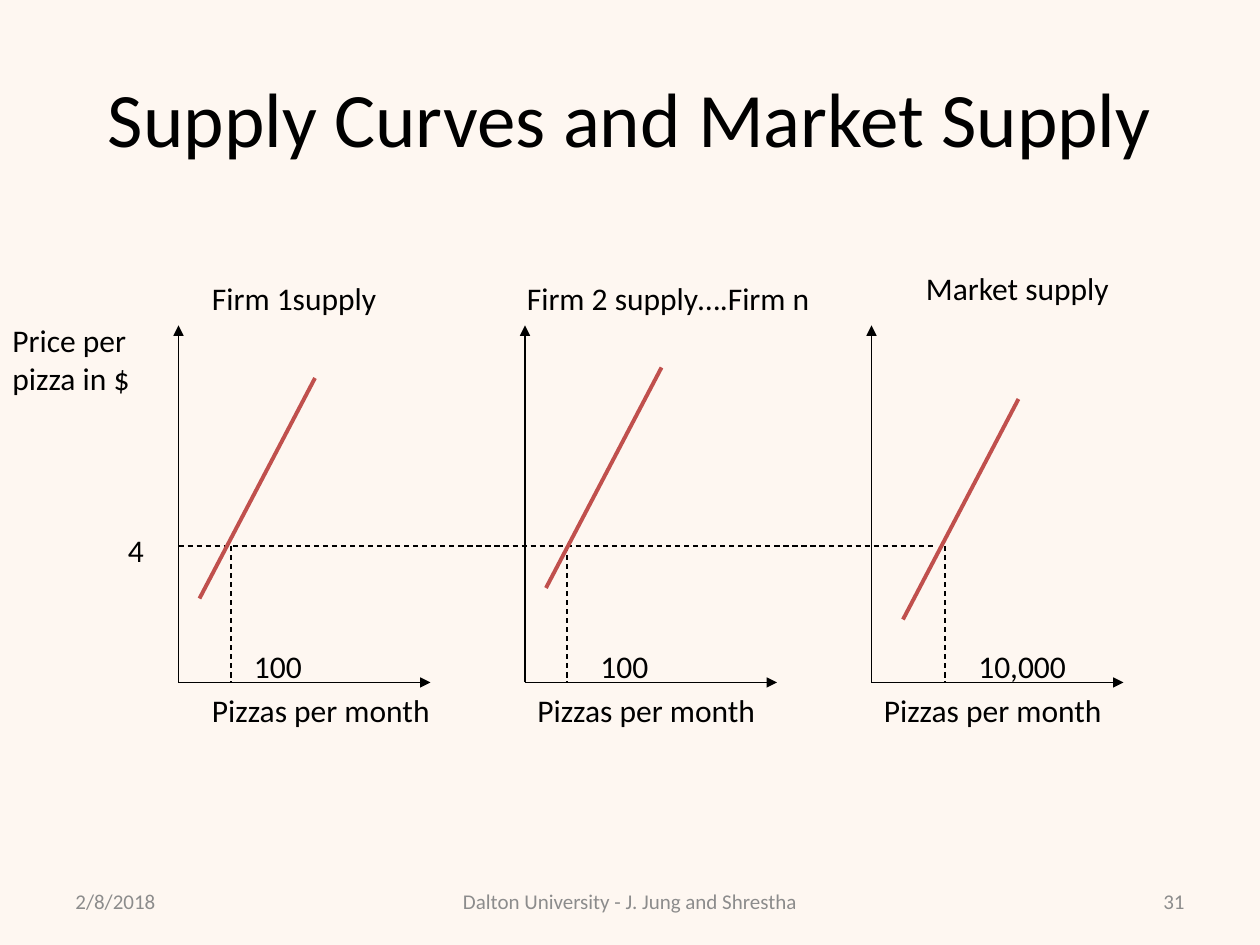
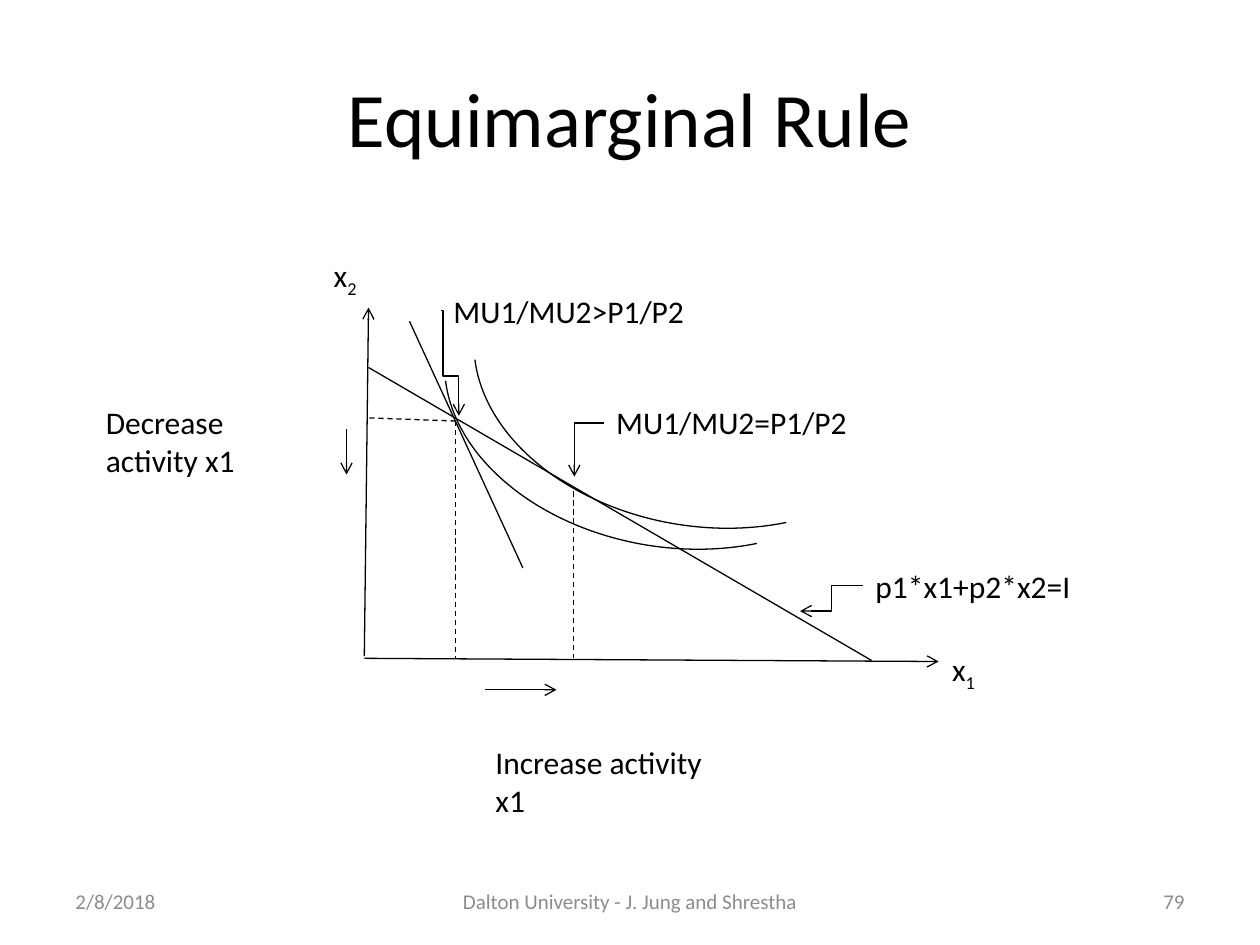
from dataclasses import dataclass
from typing import NamedTuple

from pptx import Presentation
from pptx.dml.color import RGBColor
from pptx.enum.dml import MSO_LINE
from pptx.enum.shapes import MSO_CONNECTOR, MSO_SHAPE
from pptx.enum.text import MSO_ANCHOR as Anchor, PP_ALIGN as Align
from pptx.oxml.ns import qn
from pptx.oxml.xmlchemy import OxmlElement
from pptx.slide import Slide
from pptx.util import Emu, Pt

EMU_PER_PX = 7620  # 120 px to the inch


@dataclass(frozen=True)
class Theme:
    font: str = "Calibri"
    ink: str = "000000"
    muted: str = "8C8C8C"
    curve: str = "C0504D"
    cream: str = "FEF7F1"
    white: str = "FFFFFF"
    title_size: int = 44
    body_size: int = 18
    footer_size: int = 12
    thin: float = 0.75
    thick: float = 2.25


THEME = Theme()


class Point(NamedTuple):
    x: int
    y: int


class Box(NamedTuple):
    left: int
    top: int
    width: int
    height: int = 48


class Label(NamedTuple):
    text: str
    box: Box
    subscript: str = ""


class Segment(NamedTuple):
    start: Point
    end: Point
    head: str = ""
    dashed: bool = False


class Elbow(NamedTuple):
    start: Point
    end: Point
    preset: str
    bends: tuple[int, ...] = ()


@dataclass(frozen=True)
class SupplyPanel:
    origin_x: int
    heading: Label
    curve_start: Point
    quantity_x: int
    quantity: Label
    axis_label: Box


def px(length: int) -> Emu:
    return Emu(length * EMU_PER_PX)


def add_text(page: Slide, text: str, box: Box, *, subscript: str = "",
             size: int = THEME.body_size, color: str = THEME.ink,
             align: Align = Align.LEFT, anchor: Anchor = Anchor.TOP) -> None:
    frame = page.shapes.add_textbox(*map(px, box)).text_frame
    frame.word_wrap = True
    frame.vertical_anchor = anchor
    para = frame.paragraphs[0]
    para.alignment = align
    for part in filter(None, (text, subscript)):
        span = para.add_run()
        span.text = part
        span.font.name = THEME.font
        span.font.size = Pt(size)
        span.font.color.rgb = RGBColor.from_string(color)
    if subscript:
        span._r.get_or_add_rPr().set("baseline", "-25000")


def add_line(page: Slide, start: Point, end: Point, *, head: str = "",
             dashed: bool = False, color: str = THEME.ink,
             width: float = THEME.thin, kind: MSO_CONNECTOR = MSO_CONNECTOR.STRAIGHT):
    connector = page.shapes.add_connector(kind, *map(px, start + end))
    line = connector.line
    line.color.rgb = RGBColor.from_string(color)
    line.width = Pt(width)
    if dashed:
        line.dash_style = MSO_LINE.DASH
    if head:
        tail = OxmlElement("a:tailEnd")
        tail.set("type", head)
        line._get_or_add_ln().append(tail)
    connector._element.spPr.append(OxmlElement("a:effectLst"))
    return connector


def add_elbow(page: Slide, elbow: Elbow) -> None:
    """Draw a bent arrow; bends are in thousandths of its width or height."""
    connector = add_line(page, elbow.start, elbow.end, head="arrow",
                         kind=MSO_CONNECTOR.ELBOW)
    geometry = connector._element.spPr.find(qn("a:prstGeom"))
    geometry.set("prst", elbow.preset)
    guides = geometry.get_or_add_avLst()
    for number, bend in enumerate(elbow.bends, 1):
        guide = OxmlElement("a:gd")
        guide.set("name", f"adj{number}")
        guide.set("fmla", f"val {bend * 100}")
        guides.append(guide)


def add_indifference_curve(page: Slide, box: Box) -> None:
    arc = page.shapes.add_shape(MSO_SHAPE.ARC, *map(px, box))
    arc.adjustments[0], arc.adjustments[1] = 139.61, 210.92
    arc.rotation = 189.4
    arc.shadow.inherit = False
    arc.fill.background()
    arc.line.color.rgb = RGBColor.from_string(THEME.ink)
    arc.line.width = Pt(THEME.thin)


def add_page(deck, title: str, number: int, background: str) -> Slide:
    """Add a blank page with its background, title and footer."""
    page = deck.slides.add_slide(deck.slide_layouts[6])
    fill = page.background.fill
    fill.solid()
    fill.fore_color.rgb = RGBColor.from_string(background)
    add_text(page, title, Box(60, 36, 1080, 150), size=THEME.title_size,
             align=Align.CENTER, anchor=Anchor.MIDDLE)
    footers = (
        ("2/8/2018", Box(60, 834, 280), Align.LEFT),
        ("Dalton University - J. Jung and Shrestha", Box(410, 834, 380), Align.CENTER),
        (str(number), Box(860, 834, 280), Align.RIGHT),
    )
    for text, box, align in footers:
        add_text(page, text, box, size=THEME.footer_size, color=THEME.muted,
                 align=align, anchor=Anchor.MIDDLE)
    return page


PRICE_Y, BASE_Y, AXIS_TOP = 520, 650, 310
AXIS_LENGTH, CURVE_RUN, CURVE_RISE = 240, 110, 210

SUPPLY_PANELS = (
    SupplyPanel(170, Label("Firm 1supply", Box(190, 260, 260)), Point(190, 570),
                220, Label("100", Box(230, 610, 90)), Box(190, 652, 330)),
    SupplyPanel(500, Label("Firm 2 supply….Firm n", Box(490, 260, 410)), Point(520, 560),
                540, Label("100", Box(560, 610, 80)), Box(500, 652, 310)),
    SupplyPanel(830, Label("Market supply", Box(870, 250, 240)), Point(860, 590),
                900, Label("10,000", Box(920, 610, 120)), Box(830, 652, 310)),
)


def add_supply_panel(page: Slide, panel: SupplyPanel) -> None:
    origin = Point(panel.origin_x, BASE_Y)
    for tip in (Point(origin.x, AXIS_TOP), Point(origin.x + AXIS_LENGTH, BASE_Y)):
        add_line(page, origin, tip, head="triangle")
    add_line(page, Point(panel.quantity_x, PRICE_Y), Point(panel.quantity_x, BASE_Y),
             dashed=True)
    start = panel.curve_start
    add_line(page, start, Point(start.x + CURVE_RUN, start.y - CURVE_RISE),
             color=THEME.curve, width=THEME.thick)
    for label in (panel.heading, panel.quantity):
        add_text(page, label.text, label.box)
    add_text(page, "Pizzas per month", panel.axis_label)


def build_supply_page(deck) -> None:
    page = add_page(deck, "Supply Curves and Market Supply", 31, THEME.cream)
    add_line(page, Point(170, PRICE_Y), Point(890, PRICE_Y), dashed=True)
    add_text(page, "Price per pizza in $", Box(0, 300, 160, 84))
    add_text(page, "4", Box(110, 500, 70))
    for panel in SUPPLY_PANELS:
        add_supply_panel(page, panel)


EQUIMARGINAL_SEGMENTS = (
    Segment(Point(347, 625), Point(351, 293), "arrow"),
    Segment(Point(347, 627), Point(894, 630), "arrow"),
    Segment(Point(351, 350), Point(830, 629)),
    Segment(Point(390, 306), Point(498, 541)),
    Segment(Point(434, 401), Point(434, 627), dashed=True),
    Segment(Point(546, 468), Point(546, 627), dashed=True),
    Segment(Point(434, 401), Point(351, 398), dashed=True),
    Segment(Point(462, 657), Point(530, 657), "arrow"),
    Segment(Point(330, 409), Point(330, 452), "arrow"),
)

EQUIMARGINAL_ELBOWS = (
    Elbow(Point(822, 558), Point(762, 582), "bentConnector3", (500,)),
    Elbow(Point(575, 403), Point(547, 454), "bentConnector2"),
    Elbow(Point(420, 296), Point(437, 396), "bentConnector4", (123, 622)),
)

EQUIMARGINAL_LABELS = (
    Label("x", Box(895, 613, 70), "1"),
    Label("x", Box(306, 238, 70), "2"),
    Label("p1*x1+p2*x2=I", Box(822, 534, 269)),
    Label("MU1/MU2=P1/P2", Box(575, 378, 294)),
    Label("MU1/MU2>P1/P2", Box(420, 272, 294)),
    Label("Increase activity x1", Box(460, 702, 222, 85)),
    Label("Decrease activity x1", Box(89, 378, 222, 85)),
)


def build_equimarginal_page(deck) -> None:
    page = add_page(deck, "Equimarginal Rule", 79, THEME.white)
    for corner in (Point(450, 191), Point(422, 211)):
        add_indifference_curve(page, Box(*corner, 437, 310))
    for segment in EQUIMARGINAL_SEGMENTS:
        add_line(page, segment.start, segment.end, head=segment.head,
                 dashed=segment.dashed)
    for elbow in EQUIMARGINAL_ELBOWS:
        add_elbow(page, elbow)
    for label in EQUIMARGINAL_LABELS:
        add_text(page, label.text, label.box, subscript=label.subscript)


def main() -> None:
    deck = Presentation()
    deck.slide_width, deck.slide_height = px(1200), px(900)
    build_supply_page(deck)
    build_equimarginal_page(deck)
    deck.save("out.pptx")


if __name__ == "__main__":
    main()
